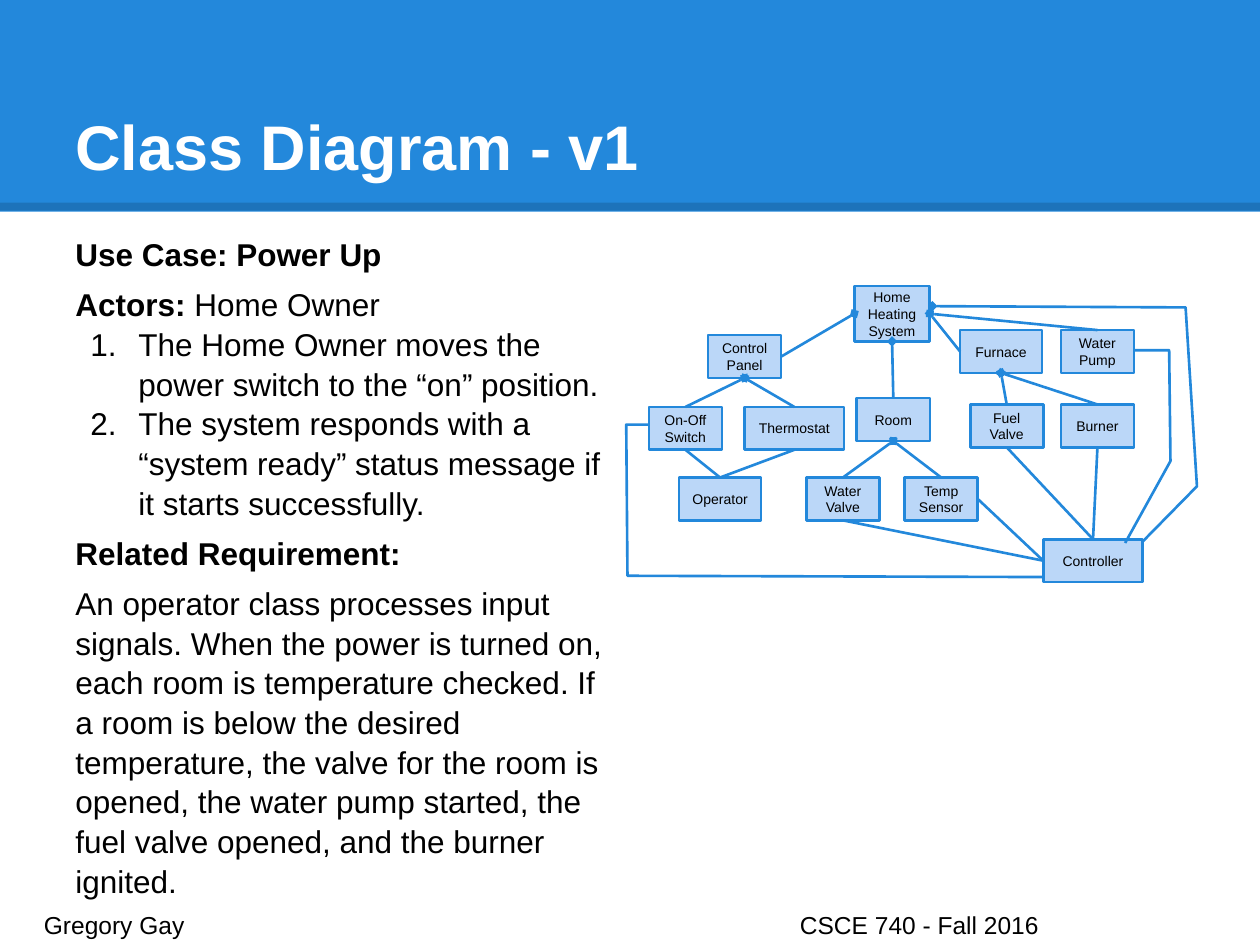
from lxml import etree
from pptx import Presentation
from pptx.dml.color import RGBColor
from pptx.enum import shapes, text
from pptx.oxml import ns
from pptx import util as u

PX = 9144
COLORS = {"blue": "2388DB", "pale": "BBD7F8", "white": "FFFFFF", "black": "000000"}
FRAME = {"word_wrap": True, "auto_size": text.MSO_AUTO_SIZE.NONE,
         "margin_left": 10 * PX, "margin_top": 10 * PX,
         "margin_right": 10 * PX, "margin_bottom": 10 * PX}
STEP = {"space_before": u.Pt(6), "line_spacing": 1.05}
OPENING = {"line_spacing": 1.05}
TOP, LEFT, BOTTOM, RIGHT = range(4)

BODY = [
    (OPENING, False, [("Use Case: Power Up", True)]),
    (STEP, False, [("Actors:", True), (" Home Owner", False)]),
    (OPENING, True, [("The Home Owner moves the power switch to the “on” position.", False)]),
    (OPENING, True, [("The system responds with a “system ready” status message "
                      "if it starts successfully.", False)]),
    (STEP, False, [("Related Requirement:", True)]),
    (STEP, False, [("An operator class processes input signals. When the power is turned on, "
                    "each room is temperature checked. If a room is below the desired "
                    "temperature, the valve for the room is opened, the water pump started, "
                    "the fuel valve opened, and the burner ignited.", False)]),
]
CLASSES = [
    ("Home Heating System", 181, 0, 60, 44),
    ("Control Panel", 65, 39, 58, 34),
    ("On-Off Switch", 18, 96, 58, 34),
    ("Thermostat", 94, 96, 79, 34),
    ("Room", 183, 89, 58, 34),
    ("Operator", 42, 152, 65, 34),
    ("Furnace", 265, 35, 65, 34),
    ("Water Pump", 345, 35, 58, 34),
    ("Burner", 345, 94, 58, 34),
    ("Fuel Valve", 273, 94, 58, 34),
    ("Controller", 331, 201, 79, 34),
    ("Temp Sensor", 221, 152, 58, 34),
    ("Water Valve", 143, 152, 58, 34),
]
COMPOSITIONS = [
    ("Room", TOP, "Home Heating System", BOTTOM),
    ("Water Valve", TOP, "Room", BOTTOM),
    ("Temp Sensor", TOP, "Room", BOTTOM),
    ("Furnace", LEFT, "Home Heating System", RIGHT),
    ("Water Pump", TOP, "Home Heating System", RIGHT),
    ("Fuel Valve", TOP, "Furnace", BOTTOM),
    ("Burner", TOP, "Furnace", BOTTOM),
    ("Control Panel", RIGHT, "Home Heating System", LEFT),
    ("On-Off Switch", TOP, "Control Panel", BOTTOM),
    ("Thermostat", TOP, "Control Panel", BOTTOM),
]
ASSOCIATIONS = [
    ("Controller", LEFT, "Water Valve", BOTTOM),
    ("Controller", LEFT, "Temp Sensor", RIGHT),
    ("Controller", TOP, "Fuel Valve", BOTTOM),
    ("Controller", TOP, "Burner", BOTTOM),
    ("Operator", TOP, "On-Off Switch", BOTTOM),
    ("Operator", TOP, "Thermostat", BOTTOM),
]
SWITCH_WIRE = [(338, 231), (1, 230), (0, 110), (19, 110)]
SYSTEM_WIRE = [(396, 217), (453, 159), (444, 17), (243, 16)]
PUMP_WIRE = [(396, 204), (432, 139), (431, 51), (403, 51)]


def rgb(name):
    """Return the named colour."""
    return RGBColor.from_string(COLORS[name])


def apply(target, values):
    """Set each attribute of target from a dict."""
    for name, value in values.items():
        setattr(target, name, value)


def add_run(paragraph, words, size, color="black", bold=False):
    """Add a run of Arial text."""
    run = paragraph.add_run()
    run.text = words
    apply(run.font, {"name": "Arial", "size": u.Pt(size), "bold": bold})
    run.font.color.rgb = rgb(color)


def add_frame(slide, box, **values):
    """Add a text box and return its text frame."""
    frame = slide.shapes.add_textbox(*(length * PX for length in box)).text_frame
    apply(frame, {**FRAME, **values})
    return frame


def add_rectangle(slide, box, color):
    """Add a flat filled rectangle."""
    shape = slide.shapes.add_shape(shapes.MSO_SHAPE.RECTANGLE, *(length * PX for length in box))
    shape.shadow.inherit = False
    shape.fill.solid()
    shape.fill.fore_color.rgb = rgb(color)
    shape.line.fill.background()
    return shape


def style_line(shape, color="blue", width=1.5, diamond=False):
    """Give a shape's line its colour, width and optional diamond end."""
    shape.line.color.rgb = rgb(color)
    shape.line.width = u.Pt(width)
    if diamond:
        outline = shape._element.spPr.find(ns.qn("a:ln"))
        etree.SubElement(outline, ns.qn("a:tailEnd"), type="diamond")


def add_line(slide, start, end, **style):
    """Add a straight connector without shadow."""
    connector = slide.shapes.add_connector(
        shapes.MSO_CONNECTOR.STRAIGHT, *(length * PX for length in (*start, *end)))
    style_line(connector, **style)
    etree.SubElement(connector._element.spPr, ns.qn("a:effectLst"))
    return connector


def add_header(slide, box):
    """Place the title band, its lower edge and the title."""
    left, top, width, height = box
    add_rectangle(slide, box, "blue")
    edge = top + height - 4
    connector = add_line(slide, (left, edge), (left + width, edge), color="black", width=4.5)
    color = next(connector._element.spPr.iter(ns.qn("a:srgbClr")))
    etree.SubElement(color, ns.qn("a:alpha"), val="15000")
    frame = add_frame(slide, (left + 50, top + 30, width - 100, 125),
                      vertical_anchor=text.MSO_ANCHOR.BOTTOM)
    add_run(frame.paragraphs[0], "Class Diagram - v1", 36, "white", True)


def add_body(slide, box):
    """Place the use case, its numbered steps and the requirement."""
    frame = add_frame(slide, box)
    for index, (spacing, numbered, runs) in enumerate(BODY):
        paragraph = frame.add_paragraph() if index else frame.paragraphs[0]
        apply(paragraph, spacing)
        if numbered:
            properties = paragraph._p.get_or_add_pPr()
            properties.set("marL", str(50 * PX))
            properties.set("indent", str(-38 * PX))
            etree.SubElement(properties, ns.qn("a:buAutoNum"), type="arabicPeriod")
        for words, bold in runs:
            add_run(paragraph, words, 18, bold=bold)


def add_footer(slide, box):
    """Place the author and the course on one tabbed line."""
    paragraph = add_frame(slide, box).paragraphs[0]
    tabs = etree.SubElement(paragraph._p.get_or_add_pPr(), ns.qn("a:tabLst"))
    etree.SubElement(tabs, ns.qn("a:tab"), pos=str(600 * PX), algn="l")
    add_run(paragraph, "Gregory Gay\tCSCE 740 - Fall 2016", 14)


def add_wire(slide, origin, points, diamond=False):
    """Draw an open bent line through points."""
    start, *others = [(origin[0] + x, origin[1] + y) for x, y in points]
    builder = slide.shapes.build_freeform(*start, scale=PX)
    builder.add_line_segments(others, close=False)
    shape = builder.convert_to_shape()
    shape.shadow.inherit = False
    shape.fill.background()
    style_line(shape, diamond=diamond)


def add_class(slide, box, name):
    """Place one class with its centred name."""
    shape = add_rectangle(slide, box, "pale")
    style_line(shape)
    apply(shape.text_frame, {**FRAME, "vertical_anchor": text.MSO_ANCHOR.MIDDLE})
    paragraph = shape.text_frame.paragraphs[0]
    paragraph.alignment = text.PP_ALIGN.CENTER
    add_run(paragraph, name, 8)
    return shape


def add_diagram(slide, origin):
    """Place the classes and join them."""
    left, top = origin
    add_wire(slide, origin, SWITCH_WIRE)
    add_wire(slide, origin, SYSTEM_WIRE, diamond=True)
    classes = {name: add_class(slide, (left + x, top + y, width, height), name)
               for name, x, y, width, height in CLASSES}
    for links, diamond in ((COMPOSITIONS, True), (ASSOCIATIONS, False)):
        for source, source_site, target, target_site in links:
            connector = add_line(slide, origin, origin, diamond=diamond)
            connector.begin_connect(classes[source], source_site)
            connector.end_connect(classes[target], target_site)
    add_wire(slide, origin, PUMP_WIRE)


def main():
    """Build and save the slide."""
    presentation = Presentation()
    apply(presentation, {"slide_width": 1000 * PX, "slide_height": 750 * PX})
    slide = presentation.slides.add_slide(presentation.slide_layouts[6])
    add_header(slide, (0, 0, 1000, 168))
    add_body(slide, (50, 175, 447, 543))
    add_footer(slide, (25, 712, 951, 30))
    add_diagram(slide, (497, 227))
    presentation.save("out.pptx")


if __name__ == "__main__":
    main()
